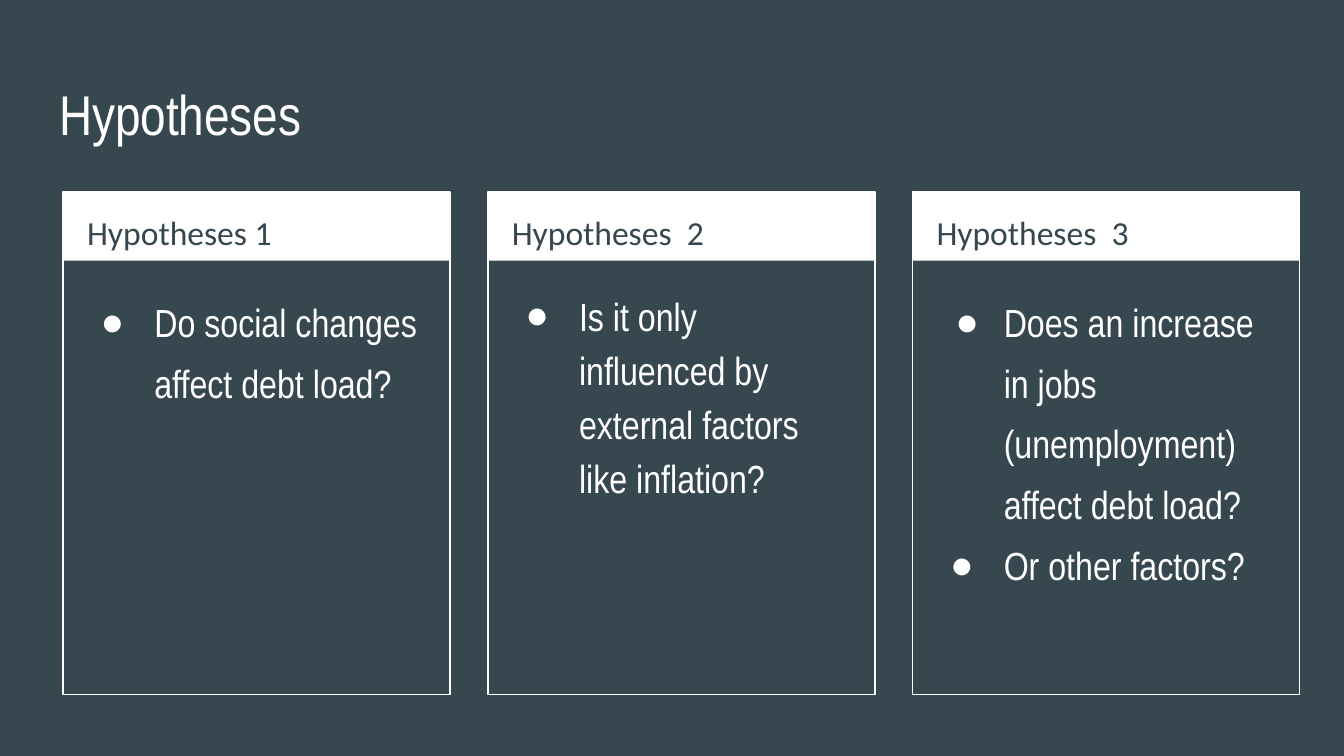
import pptx
import pptx.dml.color
import pptx.enum.shapes
import pptx.enum.text
import pptx.oxml.ns
import pptx.util
from lxml import etree
from pptx.util import Inches

SLATE = pptx.dml.color.RGBColor(0x37, 0x47, 0x4F)
WHITE = pptx.dml.color.RGBColor(0xFF, 0xFF, 0xFF)
HEADING_FONT = "Calibri"
TEXT_FONT = "Arial Narrow"

CARD_TOP, CARD_WIDTH, CARD_HEIGHT = 1.43, 2.88, 3.74
CARD_LEFT, CARD_PITCH = 0.47, 3.16
HEADER_HEIGHT = 0.51

# Heading, line spacing, and each bullet with its hanging indent
CARDS = [
    ("Hypotheses 1", 1.29, [("Do social changes affect debt load?", 0.4)]),
    ("Hypotheses  2", 1.15,
     [("Is it only influenced by external factors like inflation?", 0.4)]),
    ("Hypotheses  3", 1.29,
     [("Does an increase in jobs (unemployment) affect debt load?", 0.36),
      ("Or other factors?", 0.4)]),
]


def prepare_frame(frame):
    """Set wrapping, top anchoring and equal insets."""
    frame.word_wrap = True
    frame.auto_size = pptx.enum.text.MSO_AUTO_SIZE.NONE
    frame.vertical_anchor = pptx.enum.text.MSO_ANCHOR.TOP
    frame.margin_left = frame.margin_right = Inches(0.1)
    frame.margin_top = frame.margin_bottom = Inches(0.1)


def add_span(para, text, size, font, color):
    """Add one formatted run to a left-aligned paragraph."""
    para.alignment = pptx.enum.text.PP_ALIGN.LEFT
    span = para.add_run()
    span.text = text
    span.font.size = pptx.util.Pt(size)
    span.font.name = font
    span.font.color.rgb = color


def add_bullet(para, hanging):
    """Give a paragraph a white round bullet and a hanging indent."""
    properties = para._p.get_or_add_pPr()
    properties.set("marL", str(Inches(0.5)))
    properties.set("indent", str(-Inches(hanging)))
    ns = pptx.oxml.ns.qn
    color = etree.SubElement(properties, ns("a:buClr"))
    etree.SubElement(color, ns("a:srgbClr"), val=str(WHITE))
    etree.SubElement(properties, ns("a:buFont"), typeface="Arial")
    etree.SubElement(properties, ns("a:buChar"), char="●")


def add_text_box(page, left, top, width, height):
    """Add a prepared text box and return its frame."""
    box = page.shapes.add_textbox(
        Inches(left), Inches(top), Inches(width), Inches(height))
    prepare_frame(box.text_frame)
    return box.text_frame


def add_panel(group, left, top, width, height):
    """Add a plain rectangle without shadow to a group."""
    panel = group.shapes.add_shape(
        pptx.enum.shapes.MSO_SHAPE.RECTANGLE,
        Inches(left), Inches(top), Inches(width), Inches(height))
    panel.shadow.inherit = False
    return panel


def add_title(page, text, left, top, width, height):
    """Place and format the title placeholder."""
    title = page.shapes.title
    title.left, title.top = Inches(left), Inches(top)
    title.width, title.height = Inches(width), Inches(height)
    prepare_frame(title.text_frame)
    add_span(title.text_frame.paragraphs[0], text, 30, TEXT_FONT, WHITE)


def add_card(page, card, left, top, width, height):
    """Draw an outlined card with a heading band and bullets."""
    heading, spacing, bullets = card
    group = page.shapes.add_group_shape()
    header = add_panel(group, left, top, width, HEADER_HEIGHT)
    header.fill.solid()
    header.fill.fore_color.rgb = WHITE
    header.line.fill.background()
    outline = add_panel(group, left, top, width, height)
    outline.fill.background()
    outline.line.color.rgb = WHITE
    outline.line.width = pptx.util.Pt(0.75)

    frame = add_text_box(page, left + 0.08, top, width - 0.15, 0.5)
    para = frame.paragraphs[0]
    para.line_spacing = 1.15
    add_span(para, heading, 18, HEADING_FONT, SLATE)

    frame = add_text_box(page, left + 0.08, top + 0.59, width - 0.17, height - 0.68)
    for index, (text, hanging) in enumerate(bullets):
        para = frame.add_paragraph() if index else frame.paragraphs[0]
        para.line_spacing = spacing
        add_bullet(para, hanging)
        add_span(para, text, 21, TEXT_FONT, WHITE)


def build_deck():
    """Build and save the hypotheses slide."""
    deck = pptx.Presentation()
    deck.slide_width = Inches(10)
    deck.slide_height = deck.slide_width * 9 // 16
    page = deck.slides.add_slide(deck.slide_layouts[5])
    page.background.fill.solid()
    page.background.fill.fore_color.rgb = SLATE
    add_title(page, "Hypotheses", 0.34, 0.49, 9.32, 0.63)
    for index, card in enumerate(CARDS):
        add_card(page, card, CARD_LEFT + index * CARD_PITCH,
                 CARD_TOP, CARD_WIDTH, CARD_HEIGHT)
    deck.save("out.pptx")


build_deck()
